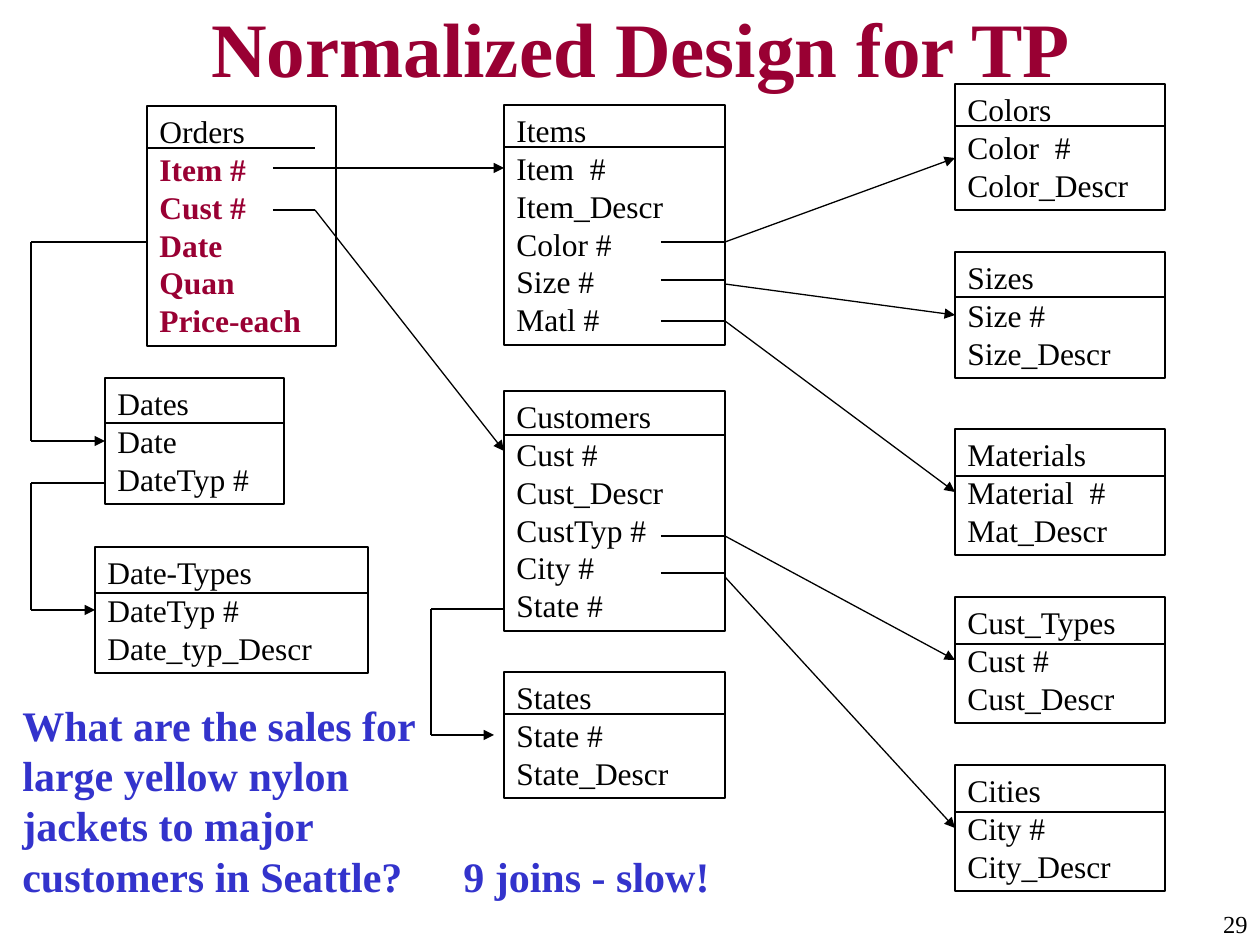
from itertools import pairwise

from lxml.etree import SubElement
from pptx import Presentation
from pptx.dml.color import RGBColor
from pptx.enum.shapes import MSO_CONNECTOR, MSO_SHAPE
from pptx.enum.text import MSO_ANCHOR, PP_ALIGN
from pptx.oxml.ns import qn
from pptx.util import Emu, Pt

SCALE = 914400 / 126
FONT = "Times New Roman"
COLORS = {"black": "000000", "red": "990033", "blue": "3333CC"}
LEFT = 1

TABLES = {
    "Orders": (147, 106, 189, 42, ["Item #", "Cust #", "Date", "Quan", "Price-each"]),
    "Dates": (105, 378, 179, 45, ["Date", "DateTyp #"]),
    "Date-Types": (95, 547, 273, 46, ["DateTyp #", "Date_typ_Descr"]),
    "Items": (504, 105, 221, 42, ["Item  #", "Item_Descr", "Color #", "Size #", "Matl #"]),
    "Customers": (504, 391, 221, 44, ["Cust #", "Cust_Descr", "CustTyp #", "City #", "State #"]),
    "States": (504, 672, 221, 42, ["State #", "State_Descr"]),
    "Colors": (955, 84, 210, 42, ["Color  #", "Color_Descr"]),
    "Sizes": (955, 252, 210, 45, ["Size #", "Size_Descr"]),
    "Materials": (955, 429, 210, 47, ["Material  #", "Mat_Descr"]),
    "Cust_Types": (955, 597, 210, 47, ["Cust #", "Cust_Descr"]),
    "Cities": (955, 765, 210, 47, ["City #", "City_Descr"]),
}

ROUTES = [
    ([(147, 242), (31, 242), (31, 441), (105, 441)], "Dates"),
    ([(105, 483), (31, 483), (31, 610), (95, 610)], "Date-Types"),
    ([(273, 168), (315, 168), (504, 168)], None),
    ([(273, 210), (315, 210), (504, 451)], None),
    ([(504, 609), (431, 609), (431, 735), (494, 735)], None),
    ([(661, 242), (725, 242), (955, 158)], None),
    ([(661, 280), (725, 280), (725, 284), (955, 315)], "Sizes"),
    ([(661, 321), (725, 321), (955, 492)], "Materials"),
    ([(661, 536), (725, 536), (955, 660)], "Cust_Types"),
    ([(661, 573), (725, 573), (725, 577), (955, 828)], "Cities"),
]


def px(n):
    return Emu(round(n * SCALE))


def color(name):
    return RGBColor.from_string(COLORS[name])


def add_run(p, text, size, fill="black", bold=False):
    r = p.add_run()
    r.text = text
    r.font.name = FONT
    r.font.size = Pt(size)
    r.font.bold = bold
    r.font.color.rgb = color(fill)


def add_text(s, text, x, y, w, h, size=24, fill="blue", bold=True,
             align=PP_ALIGN.LEFT, anchor=MSO_ANCHOR.TOP):
    tf = s.shapes.add_textbox(px(x), px(y), px(w), px(h)).text_frame
    tf.word_wrap = True
    tf.vertical_anchor = anchor
    p = tf.paragraphs[0]
    p.alignment = align
    add_run(p, text, size, fill, bold)


def add_line(s, start, end, arrow=False):
    line = s.shapes.add_connector(
        MSO_CONNECTOR.STRAIGHT, *(px(n) for n in (*start, *end)))
    line.line.color.rgb = color("black")
    line.line.width = Pt(0.75)
    if arrow:
        SubElement(line.line._get_or_add_ln(), qn("a:tailEnd"), type="triangle")
    SubElement(line._element.spPr, qn("a:effectLst"))
    return line


def add_entity(s, name, x, y, w, rule, fields):
    h = 12 + 38 * (len(fields) + 1)
    sp = s.shapes.add_shape(MSO_SHAPE.RECTANGLE, px(x), px(y), px(w), px(h))
    sp.shadow.inherit = False
    sp.fill.background()
    sp.line.color.rgb = color("black")
    sp.line.width = Pt(0.75)
    tf = sp.text_frame
    tf.word_wrap = True
    tf.vertical_anchor = MSO_ANCHOR.TOP
    p = tf.paragraphs[0]
    p.alignment = PP_ALIGN.LEFT
    p.space_before = Pt(11.2)
    add_run(p, name, 18)
    fact = name == "Orders"
    for field in fields:
        p.add_line_break()
        add_run(p, field, 18, "red" if fact else "black", fact)
    rule_end = x + (168 if fact else w)
    add_line(s, (x, y + rule), (rule_end, y + rule))
    return sp


def add_route(s, points, target):
    segments = list(pairwise(points))
    for start, end in segments[:-1]:
        add_line(s, start, end)
    line = add_line(s, *segments[-1], arrow=True)
    if target is not None:
        line.end_connect(target, LEFT)


def main():
    prs = Presentation()
    prs.slide_width, prs.slide_height = px(1260), px(945)
    s = prs.slides.add_slide(prs.slide_layouts[6])
    add_text(s, "29", 1081, 903, 179, 42, size=14, fill="black", bold=False,
             align=PP_ALIGN.RIGHT)
    add_text(s, "Normalized Design for TP", 199, 10, 1061, 73, size=44,
             fill="red", anchor=MSO_ANCHOR.MIDDLE)
    entities = {name: add_entity(s, name, *table) for name, table in TABLES.items()}
    for points, target in ROUTES:
        add_route(s, points, entities.get(target))
    add_text(s, "What are the sales for large yellow nylon jackets to major "
             "customers in Seattle?", 10, 693, 441, 214)
    add_text(s, "9 joins - slow!", 451, 844, 441, 63)
    prs.save("out.pptx")


if __name__ == "__main__":
    main()
